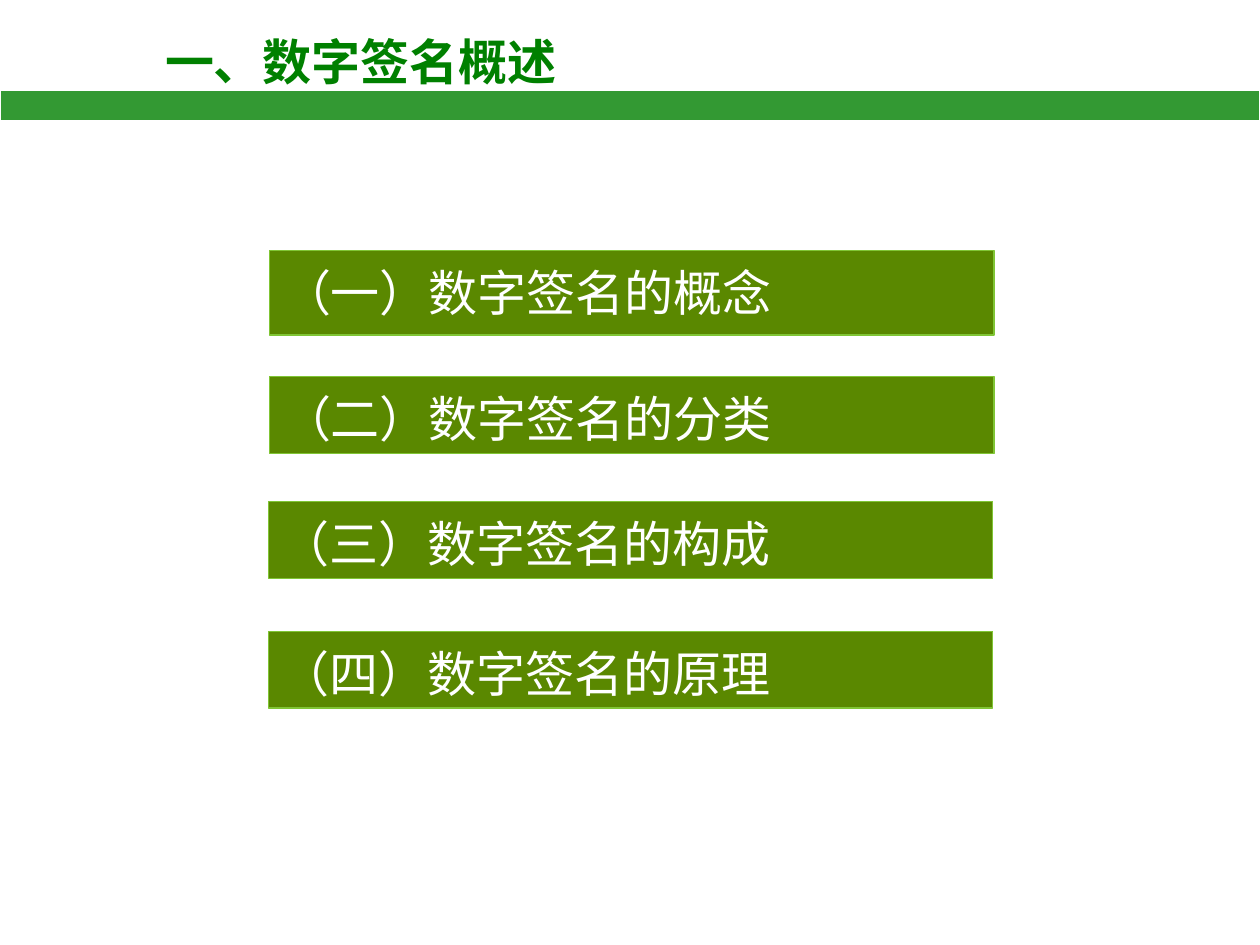
import pptx
import pptx.util
import pptx.dml.color
import pptx.enum.shapes
import pptx.enum.text
import pptx.oxml.ns
from lxml import etree

RGBColor = pptx.dml.color.RGBColor
WHITE = RGBColor(0xFF, 0xFF, 0xFF)
TITLE_GREEN = RGBColor(0x00, 0x80, 0x00)
BAND_GREEN = RGBColor(0x33, 0x99, 0x33)
ITEM_GREEN = RGBColor(0x5A, 0x88, 0x00)
EDGE_GREEN = RGBColor(0x80, 0xC5, 0x35)
CJK_FONT = "Noto Sans CJK SC"
LATIN_FONT = "Times New Roman"


def write(tf, text, font=LATIN_FONT, size=28, color=WHITE, bold=False,
          anchor=pptx.enum.text.MSO_ANCHOR.TOP, line_spacing=1.0, before=0):
    tf.word_wrap = True
    tf.auto_size = pptx.enum.text.MSO_AUTO_SIZE.NONE
    tf.vertical_anchor = anchor
    tf.margin_left = tf.margin_right = pptx.util.Inches(0.1)
    tf.margin_top = tf.margin_bottom = 0
    p = tf.paragraphs[0]
    p.alignment = pptx.enum.text.PP_ALIGN.LEFT
    p.line_spacing = line_spacing
    p.space_before = pptx.util.Pt(before)
    r = p.add_run()
    r.text = text
    r.font.name, r.font.size, r.font.bold = font, pptx.util.Pt(size), bold
    r.font.color.rgb = color
    ea = etree.SubElement(r.font._element, pptx.oxml.ns.qn("a:ea"))
    ea.set("typeface", CJK_FONT)


class Deck:
    """Holds the style and the current slide; lengths are shares of its size."""

    def __init__(self, width, height):
        self.prs = pptx.Presentation()
        self.prs.slide_width = pptx.util.Inches(width)
        self.prs.slide_height = pptx.util.Inches(height)
        self.s = self.prs.slides.add_slide(self.prs.slide_layouts[5])

    def box(self, x, y, w, h):
        width, height = self.prs.slide_width, self.prs.slide_height
        return [int(v) for v in (x * width, y * height, w * width, h * height)]

    def title(self, text, *share):
        sp = self.s.shapes.title
        sp.left, sp.top, sp.width, sp.height = self.box(*share)
        write(sp.text_frame, text, font=CJK_FONT, color=TITLE_GREEN, bold=True,
              anchor=pptx.enum.text.MSO_ANCHOR.MIDDLE)

    def bar(self, fill, edge, *share):
        sp = self.s.shapes.add_shape(
            pptx.enum.shapes.MSO_SHAPE.RECTANGLE, *self.box(*share))
        sp.shadow.inherit = False
        sp.fill.solid()
        sp.fill.fore_color.rgb = fill
        sp.line.color.rgb = edge
        sp.line.width = pptx.util.Pt(0.75)
        return sp

    def item(self, text, *share):
        sp = self.bar(ITEM_GREEN, EDGE_GREEN, *share)
        write(sp.text_frame, text, line_spacing=1.2, before=6)


def main():
    width, height = 10, 7.5
    deck = Deck(width, height)

    # Heading and band
    deck.title("一、数字签名概述", 1.21 / width, 0.2 / height, 4.47 / width, 0.57 / height)
    deck.bar(BAND_GREEN, WHITE, 0, 0.72 / height, 1, 0.24 / height)

    # Topic bars: text, left, top, height
    topics = [
        ("（一）数字签名的概念", 2.14, 1.99, 0.67),
        ("（二）数字签名的分类", 2.14, 2.99, 0.61),
        ("（三）数字签名的构成", 2.13, 3.98, 0.61),
        ("（四）数字签名的原理", 2.13, 5.01, 0.61),
    ]
    for text, x, y, h in topics:
        deck.item(text, x / width, y / height, 5.75 / width, h / height)

    deck.prs.save("out.pptx")


if __name__ == "__main__":
    main()
